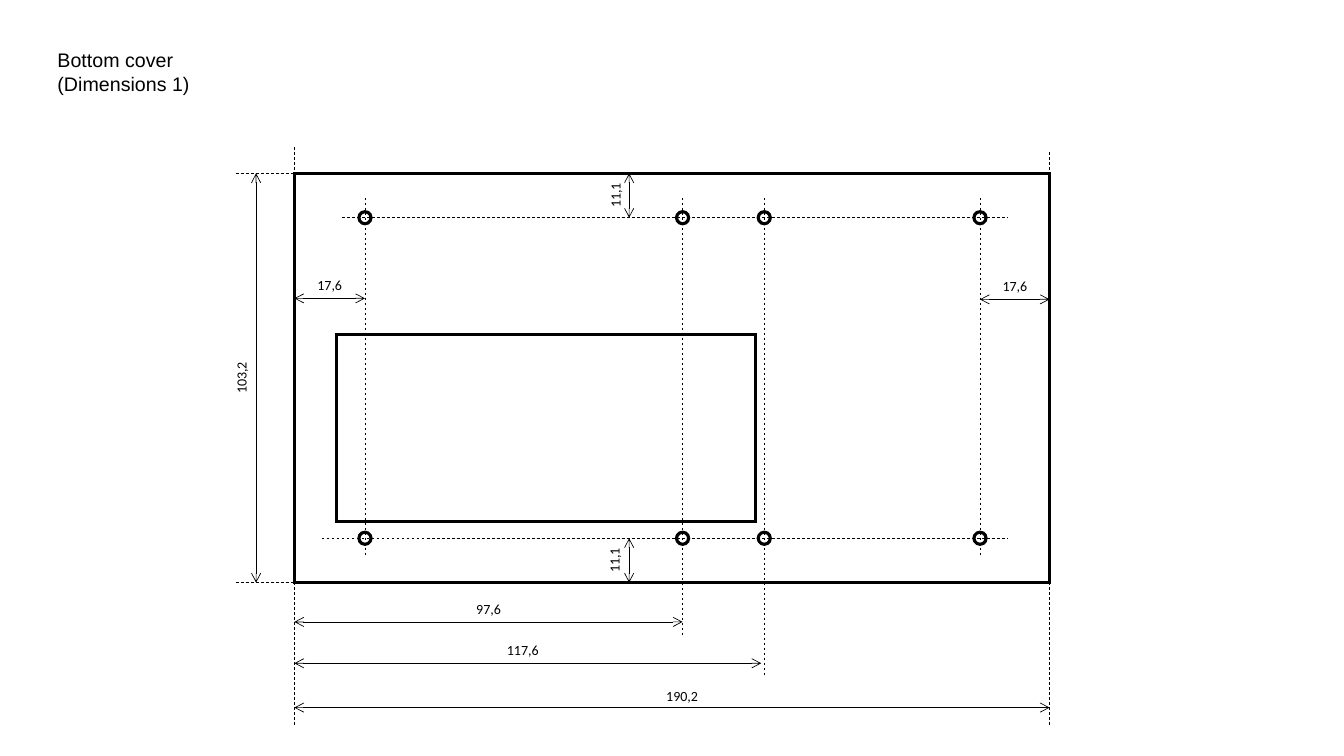
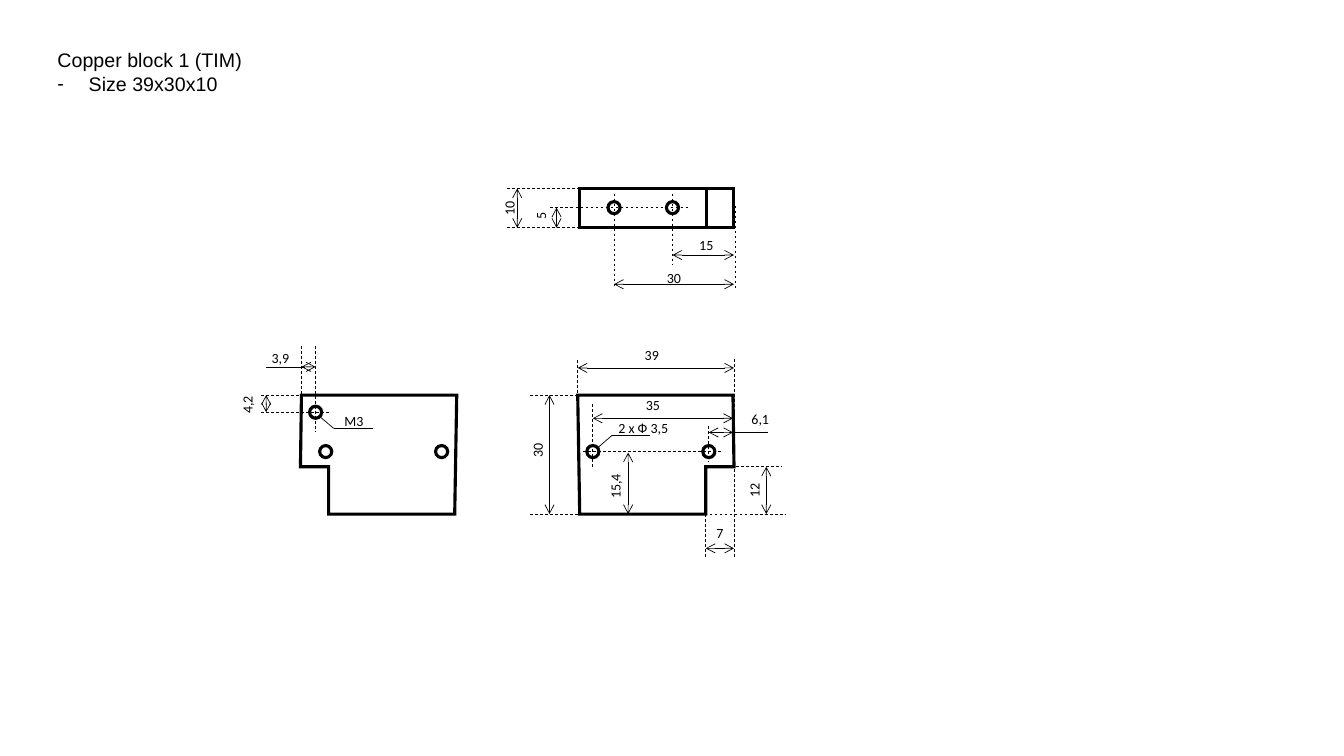
"""Draw the dimensioned bottom cover and copper block on two slides."""
from dataclasses import dataclass, field
from itertools import product

from lxml import etree
from pptx import Presentation
from pptx.dml.color import RGBColor
from pptx.enum.dml import MSO_LINE
from pptx.enum.shapes import MSO_CONNECTOR, MSO_SHAPE
from pptx.enum.text import MSO_ANCHOR, MSO_AUTO_SIZE, PP_ALIGN
from pptx.oxml.ns import qn
from pptx.util import Emu, Inches, Pt

STRAIGHT = MSO_CONNECTOR.STRAIGHT
RECTANGLE, OVAL = MSO_SHAPE.RECTANGLE, MSO_SHAPE.OVAL
DASH = MSO_LINE.DASH
LEFT, CENTER = PP_ALIGN.LEFT, PP_ALIGN.CENTER
TOP, MIDDLE = MSO_ANCHOR.TOP, MSO_ANCHOR.MIDDLE
NO_AUTOFIT = MSO_AUTO_SIZE.NONE

CELL = Inches(1)
COLUMNS, ROWS = 13.33, 7.5
TITLE_ONLY = 5
INK = "000000"
THIN, THICK = 0.5, 2.25
TITLE_FONT, LABEL_FONT = "Arial", "Calibri"
TITLE_SIZE, LABEL_SIZE = 14, 10
HOLE = 0.12
LABEL_HEIGHT = 0.27
BULLET_INDENT = 0.31

Point = tuple[float, float]
Segment = tuple[Point, Point]


@dataclass(frozen=True)
class Box:
    left: float
    top: float
    width: float
    height: float


@dataclass(frozen=True)
class Dimension:
    text: str
    start: Point
    end: Point
    gap: float = 0.13
    shift: float = 0.0

    @property
    def vertical(self) -> bool:
        return self.start[0] == self.end[0]

    @property
    def label_center(self) -> Point:
        x, y = ((a + b) / 2 for a, b in zip(self.start, self.end))
        if self.vertical:
            return x - self.gap, y + self.shift
        return x + self.shift, y - self.gap


@dataclass(frozen=True)
class Callout:
    text: str
    center: Point
    leader: tuple[Point, Point, Point]


@dataclass(frozen=True)
class Drawing:
    title: str
    boxes: list[Box]
    holes: list[Point]
    guides: list[Segment]
    dimensions: list[Dimension]
    bullets: bool = False
    outlines: list[list[Point]] = field(default_factory=list)
    edges: list[Segment] = field(default_factory=list)
    extensions: list[Segment] = field(default_factory=list)
    callouts: list[Callout] = field(default_factory=list)


def color(value: str) -> RGBColor:
    return RGBColor.from_string(value)


def grid(cells: float) -> Emu:
    return Emu(round(cells * CELL))


def across(left: float, right: float, y: float) -> Segment:
    return (left, y), (right, y)


def down(x: float, top: float, bottom: float) -> Segment:
    return (x, top), (x, bottom)


def style_outline(shape) -> None:
    shape.shadow.inherit = False
    shape.fill.background()
    shape.line.color.rgb = color(INK)
    shape.line.width = Pt(THICK)
    stroke = shape.element.spPr.find(qn("a:ln"))
    etree.SubElement(stroke, qn("a:miter"), lim="800000")


def draw_preset(slide, kind, box: Box) -> None:
    cells = (box.left, box.top, box.width, box.height)
    style_outline(slide.shapes.add_shape(kind, *map(grid, cells)))


def draw_outline(slide, points: list[Point]) -> None:
    corners = [(grid(x), grid(y)) for x, y in points]
    builder = slide.shapes.build_freeform(*corners[0])
    builder.add_line_segments(corners[1:], close=True)
    style_outline(builder.convert_to_shape())


def draw_line(slide, segment: Segment, width: float = THIN,
              dashed: bool = False, arrows: bool = False) -> None:
    ends = [grid(cells) for point in segment for cells in point]
    connector = slide.shapes.add_connector(STRAIGHT, *ends)
    connector.line.color.rgb = color(INK)
    connector.line.width = Pt(width)
    if dashed:
        connector.line.dash_style = DASH
    properties = connector.element.spPr
    if arrows:
        stroke = properties.find(qn("a:ln"))
        for end in ("a:headEnd", "a:tailEnd"):
            etree.SubElement(stroke, qn(end), type="arrow")
    etree.SubElement(properties, qn("a:effectLst"))


def format_text(paragraph, font: str, size: float, align) -> None:
    paragraph.alignment = align
    for run in paragraph.runs:
        run.font.name = font
        run.font.size = Pt(size)
        run.font.color.rgb = color(INK)


def draw_label(slide, text: str, center: Point, vertical: bool = False) -> None:
    width = 0.2 + 0.07 * len(text)
    x, y = center
    label = slide.shapes.add_textbox(grid(x - width / 2), grid(y - LABEL_HEIGHT / 2),
                                     grid(width), grid(LABEL_HEIGHT))
    label.rotation = 270 if vertical else 0
    frame = label.text_frame
    frame.word_wrap = False
    frame.margin_left = frame.margin_right = 0
    frame.vertical_anchor = MIDDLE
    frame.text = text
    format_text(frame.paragraphs[0], LABEL_FONT, LABEL_SIZE, CENTER)


def draw_title(slide, text: str, bullets: bool) -> None:
    title = slide.shapes.title
    title.left, title.top, title.width, title.height = map(grid, (0.47, 0.43, 4.41, 0.81))
    frame = title.text_frame
    frame.text = text
    frame.word_wrap = True
    frame.auto_size = NO_AUTOFIT
    frame.vertical_anchor = TOP
    for paragraph in frame.paragraphs:
        format_text(paragraph, TITLE_FONT, TITLE_SIZE, LEFT)
    if bullets:
        for paragraph in frame.paragraphs[1:]:
            properties = paragraph._p.get_or_add_pPr()
            properties.set("marL", str(grid(BULLET_INDENT)))
            properties.set("indent", str(-grid(BULLET_INDENT)))
            etree.SubElement(properties, qn("a:buFont"), typeface=TITLE_FONT)
            etree.SubElement(properties, qn("a:buChar"), char="-")


def draw_slide(deck, drawing: Drawing) -> None:
    slide = deck.slides.add_slide(deck.slide_layouts[TITLE_ONLY])
    draw_title(slide, drawing.title, drawing.bullets)
    for box in drawing.boxes:
        draw_preset(slide, RECTANGLE, box)
    for points in drawing.outlines:
        draw_outline(slide, points)
    for edge in drawing.edges:
        draw_line(slide, edge, THICK)
    for guide in drawing.guides:
        draw_line(slide, guide, dashed=True)
    for extension in drawing.extensions:
        draw_line(slide, extension)
    for x, y in drawing.holes:
        draw_preset(slide, OVAL, Box(x - HOLE / 2, y - HOLE / 2, HOLE, HOLE))
    for dimension in drawing.dimensions:
        draw_line(slide, (dimension.start, dimension.end), arrows=True)
        draw_label(slide, dimension.text, dimension.label_center, dimension.vertical)
    for callout in drawing.callouts:
        for segment in zip(callout.leader, callout.leader[1:]):
            draw_line(slide, segment)
        draw_label(slide, callout.text, callout.center)


def bottom_cover() -> Drawing:
    left, right, top, bottom = 2.92, 10.41, 1.72, 5.78
    hole_columns = (3.62, 6.77, 7.58, 9.72)
    hole_rows = (2.16, 5.34)
    upper, lower = hole_rows
    guide_ends = (5.53, 6.3, 6.72, 5.53)
    return Drawing(
        title="Bottom cover\n(Dimensions 1)",
        boxes=[Box(left, top, right - left, bottom - top), Box(3.34, 3.32, 4.15, 1.85)],
        holes=list(product(hole_columns, hole_rows)),
        guides=[
            *(down(x, 1.96, end) for x, end in zip(hole_columns, guide_ends)),
            down(left, 1.46, 7.21), down(right, 1.51, 7.21),
            across(3.39, 9.99, upper), across(3.19, 9.99, lower),
            across(2.34, 3.24, top), across(2.34, 3.04, bottom),
        ],
        dimensions=[
            Dimension("17,6", *across(left, hole_columns[0], 2.96)),
            Dimension("17,6", *across(hole_columns[-1], right, 2.97)),
            Dimension("11,1", *down(6.24, top, upper), gap=0.14),
            Dimension("11,1", *down(6.24, lower, bottom), gap=0.15),
            Dimension("103,2", *down(2.54, top, bottom), gap=0.15),
            Dimension("97,6", *across(left, hole_columns[1], 6.17)),
            Dimension("117,6", *across(left, 7.55, 6.58), shift=-0.05),
            Dimension("190,2", *across(left, right, 7.02), gap=0.12, shift=0.1),
        ],
    )


def copper_block() -> Drawing:
    left, right, top, bottom = 5.73, 7.28, 3.92, 5.1
    notch_x, notch_y = 7.0, 4.63
    side_top, side_bottom, side_axis = 1.87, 2.26, 2.06
    side_holes = (6.09, 6.67)
    front_holes = [(5.88, 4.48), (7.03, 4.48)]
    thread = (3.13, 4.09)
    rear_left = 2.99
    mirror = 10.26
    front = [(left, top), (5.75, bottom), (notch_x, bottom),
             (notch_x, notch_y), (right, notch_y), (7.27, top)]
    rear, rear_holes = ([(mirror - x, y) for x, y in points]
                        for points in (front, front_holes))
    return Drawing(
        title="Copper block 1 (TIM)\nSize 39x30x10",
        bullets=True,
        boxes=[Box(5.75, side_top, right - 5.75, side_bottom - side_top)],
        outlines=[front, rear],
        edges=[down(7.01, side_top, side_bottom)],
        holes=[*front_holes, *rear_holes, thread, *((x, side_axis) for x in side_holes)],
        guides=[
            *(across(5.26, 5.92, y) for y in (top, bottom)),
            *(across(5.03, 5.78, y) for y in (side_top, side_bottom)),
            *(down(x, 3.43, 4.29) for x in (rear_left, thread[0])),
            across(6.84, 7.8, bottom), across(notch_x, 7.76, notch_y),
            across(5.78, 7.15, 4.48), across(5.46, 6.84, side_axis),
            across(2.59, 3.11, top), across(2.59, 3.26, thread[1]),
            down(7.03, 4.23, 4.58), down(5.88, 4.01, 4.63),
            down(right, 3.56, 5.54), down(notch_x, bottom, 5.54), down(left, 3.57, top),
            down(7.29, 2.04, 2.86), down(side_holes[0], 1.92, 2.86),
            down(side_holes[1], 1.92, 2.63),
        ],
        extensions=[across(7.23, 7.62, 4.29), across(2.64, 3.03, 3.64)],
        dimensions=[
            Dimension("10", *down(5.13, side_top, side_bottom), gap=0.08),
            Dimension("5", *down(5.52, side_axis, side_bottom), gap=0.16, shift=-0.02),
            Dimension("15", *across(side_holes[1], right, 2.53), gap=0.1, shift=0.03),
            Dimension("30", *across(side_holes[0], right, 2.82), gap=0.06),
            Dimension("39", *across(left, right, 3.65), shift=-0.04),
            Dimension("35", *across(5.88, 7.27, 4.15), shift=-0.1),
            Dimension("6,1", *across(7.03, 7.27, 4.29), shift=0.39),
            Dimension("30", *down(5.45, top, bottom), gap=0.12, shift=-0.04),
            Dimension("15,4", *down(6.23, 4.49, bottom), shift=0.03),
            Dimension("12", *down(7.6, notch_y, bottom), gap=0.12),
            Dimension("7", *across(notch_x, right, 5.44), gap=0.15),
            Dimension("3,9", *across(rear_left, thread[0], 3.64), gap=0.09, shift=-0.28),
            Dimension("4,2", *down(2.64, top, thread[1]), gap=0.19, shift=0.01),
        ],
        callouts=[
            Callout("2 x Ф 3,5", (6.38, 4.25), ((5.93, 4.44), (6.07, 4.32), (6.45, 4.32))),
            Callout("M3", (3.51, 4.18), ((3.18, 4.14), (3.31, 4.25), (3.7, 4.25))),
        ],
    )


def main() -> None:
    deck = Presentation()
    deck.slide_width, deck.slide_height = grid(COLUMNS), grid(ROWS)
    for drawing in (bottom_cover(), copper_block()):
        draw_slide(deck, drawing)
    deck.save("out.pptx")


if __name__ == "__main__":
    main()
